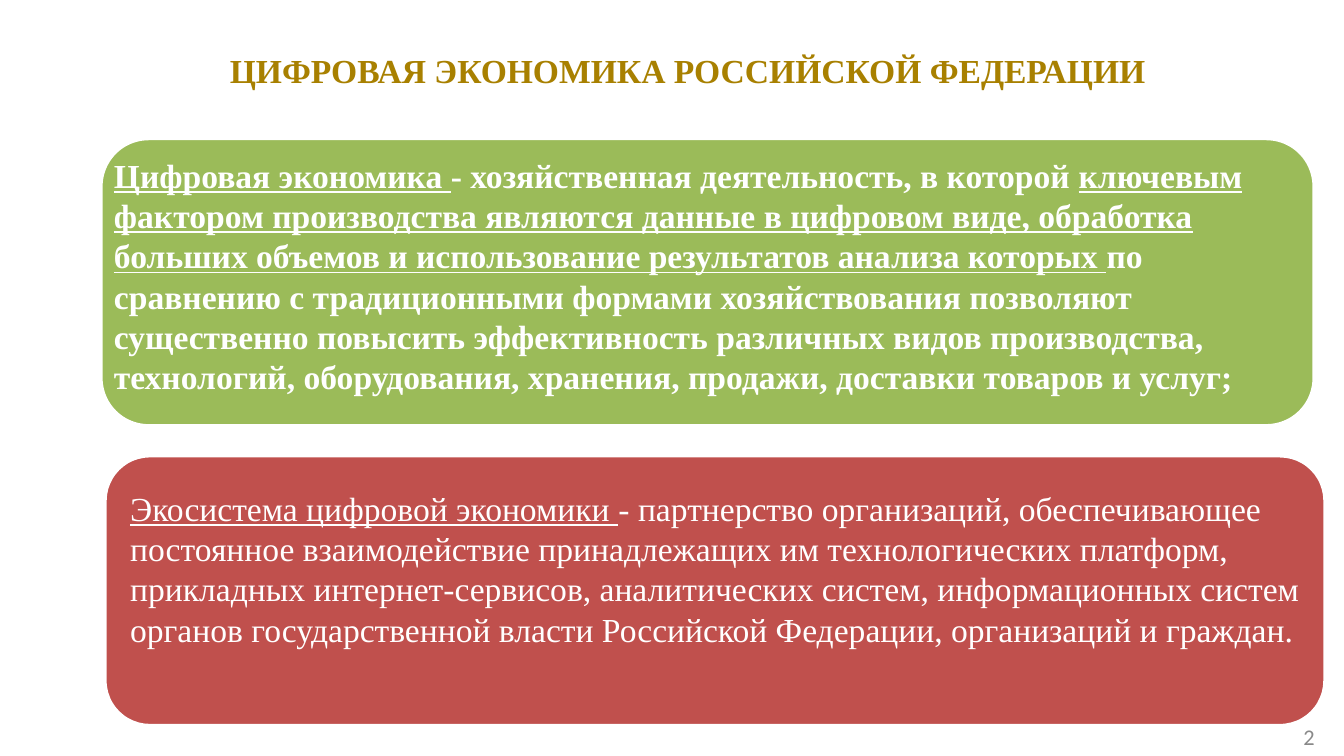
from pptx import Presentation
from pptx.dml.color import RGBColor
from pptx.enum import shapes, text
from pptx.util import Inches, Pt

SERIF = "Times New Roman"
WHITE = "FFFFFF"

# Each run is (wording, underlined)
ECONOMY = [
    ("Цифровая экономика ", True),
    ("- хозяйственная деятельность, в которой ", False),
    ("ключевым фактором производства являются данные в цифровом виде, "
     "обработка больших объемов и использование результатов анализа которых ", True),
    ("по сравнению с традиционными формами хозяйствования позволяют "
     "существенно повысить эффективность различных видов производства, "
     "технологий, оборудования, хранения, продажи, доставки товаров и услуг;", False),
]
ECOSYSTEM = [
    ("Экосистема цифровой экономики ", True),
    ("- партнерство организаций, обеспечивающее постоянное взаимодействие "
     "принадлежащих им технологических платформ, прикладных интернет-сервисов, "
     "аналитических систем, информационных систем органов государственной власти "
     "Российской Федерации, организаций и граждан.", False),
]


def rgb(color):
    return RGBColor.from_string(color)


def add_text(slide, box, runs, color, font=SERIF, size=18, bold=False,
             align=text.PP_ALIGN.LEFT, anchor=text.MSO_ANCHOR.TOP):
    frame = slide.shapes.add_textbox(*map(Inches, box)).text_frame
    frame.word_wrap = True
    frame.vertical_anchor = anchor
    paragraph = frame.paragraphs[0]
    paragraph.alignment = align
    paragraph.font.name = font
    paragraph.font.size = Pt(size)
    paragraph.font.bold = bold
    paragraph.font.color.rgb = rgb(color)
    for wording, underlined in runs:
        run = paragraph.add_run()
        run.text = wording
        if underlined:
            run.font.underline = True
    return frame


def add_title(slide, box):
    frame = add_text(slide, box, [("ЦИФРОВАЯ ЭКОНОМИКА РОССИЙСКОЙ ФЕДЕРАЦИИ", False)],
                     "A88000", bold=True)
    frame.margin_left = frame.margin_right = Inches(0.07)
    frame.margin_top = frame.margin_bottom = Inches(0.04)


def add_definition(slide, box, fill, runs, text_offset, text_size, bold=False):
    """Rounded panel with its definition placed relative to the panel's corner."""
    left, top, width, height = box
    panel = slide.shapes.add_shape(shapes.MSO_SHAPE.ROUNDED_RECTANGLE,
                                   *map(Inches, box))
    panel.shadow.inherit = False
    panel.fill.solid()
    panel.fill.fore_color.rgb = rgb(fill)
    panel.line.color.rgb = rgb(WHITE)
    panel.line.width = Pt(2)
    dx, dy = text_offset
    add_text(slide, (left + dx, top + dy, *text_size), runs, WHITE, bold=bold)


def add_page_number(slide, box):
    add_text(slide, box, [("2", False)], "898989", font="Calibri", size=12,
             align=text.PP_ALIGN.RIGHT, anchor=text.MSO_ANCHOR.MIDDLE)


def main():
    deck = Presentation()
    deck.slide_width = Inches(10)
    deck.slide_height = deck.slide_width * 9 // 16
    slide = deck.slides.add_slide(deck.slide_layouts[6])
    add_title(slide, (1.64, 0.33, 7.69, 0.38))
    add_page_number(slide, (7.55, 5.33, 2.33, 0.3))
    add_definition(slide, (0.75, 1.03, 9.03, 2.14), "9BBB59", ECONOMY,
                   (0, 0.07), (9.04, 1.92), bold=True)
    add_definition(slide, (0.78, 3.39, 9.08, 2.01), "C0504D", ECOSYSTEM,
                   (0.09, 0.19), (8.99, 1.53))
    deck.save("out.pptx")


if __name__ == "__main__":
    main()
